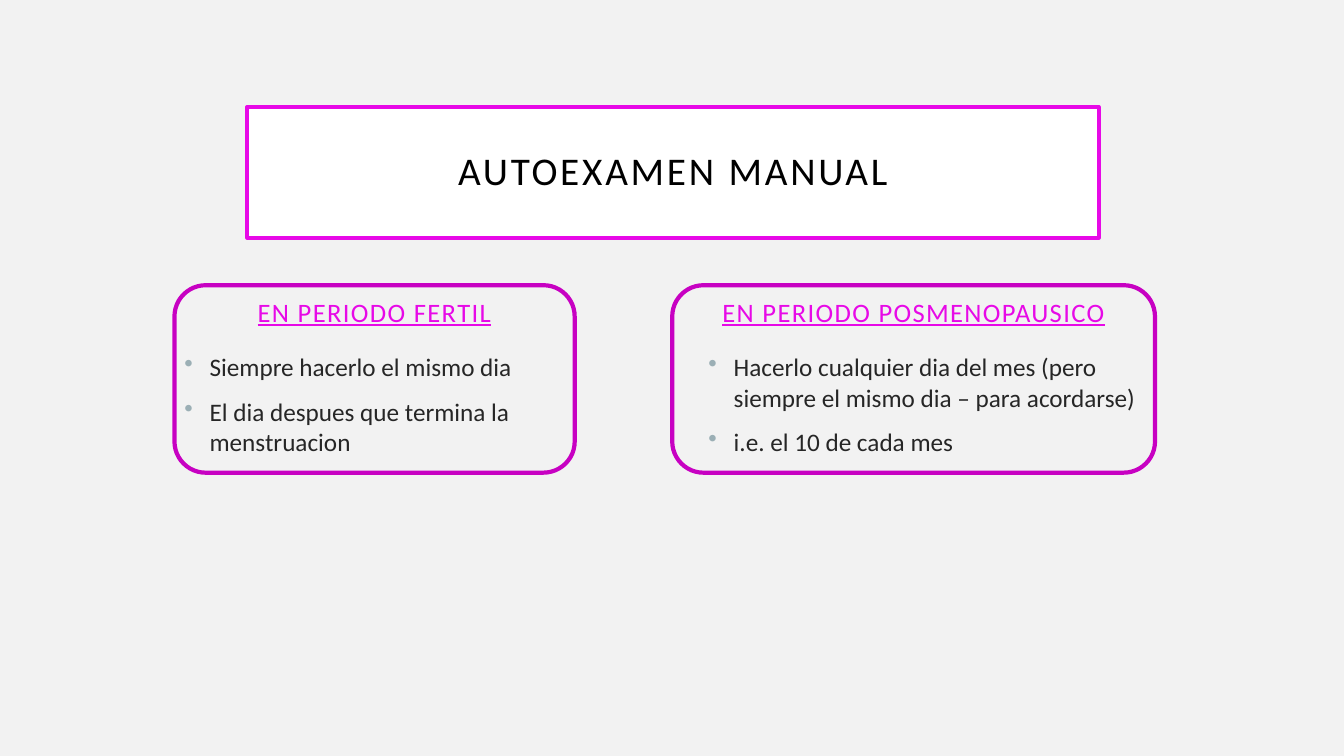
from dataclasses import dataclass

from lxml import etree
from pptx import Presentation
from pptx.dml.color import RGBColor
from pptx.enum.shapes import MSO_SHAPE
from pptx.enum.text import MSO_ANCHOR, PP_ALIGN
from pptx.oxml.ns import qn
from pptx.util import Inches, Pt

RECT, ROUND = MSO_SHAPE.RECTANGLE, MSO_SHAPE.ROUNDED_RECTANGLE
TOP, MIDDLE, BOTTOM = MSO_ANCHOR.TOP, MSO_ANCHOR.MIDDLE, MSO_ANCHOR.BOTTOM
LEFT, CENTER = PP_ALIGN.LEFT, PP_ALIGN.CENTER


@dataclass(frozen=True)
class Theme:
    font: str = "Calibri"
    back: str = "F2F2F2"
    panel: str = "FFFFFF"
    pink: str = "E709E7"
    frame: str = "C701C2"
    ink: str = "000000"
    body: str = "262626"
    dot: str = "9BAFB5"
    title_size: float = 28
    head_size: float = 19
    body_size: float = 18


def add_bullet(para, color):
    """Hang a round bullet a quarter inch before the text."""
    props = para._p.get_or_add_pPr()
    props.set("marL", str(Inches(0.25)))
    props.set("indent", str(-Inches(0.25)))
    tint = etree.SubElement(props, qn("a:buClr"))
    etree.SubElement(tint, qn("a:srgbClr"), val=color)
    etree.SubElement(props, qn("a:buChar"), char="•")


def write(frame, lines, *, font, size, color, align=LEFT, anchor=TOP,
          under=False, track=0, before=0, lead=None, dot=None):
    """Fill a text frame with one paragraph per line."""
    frame.word_wrap = True
    frame.vertical_anchor = anchor
    for i, line in enumerate(lines):
        para = frame.add_paragraph() if i else frame.paragraphs[0]
        para.alignment = align
        para.space_before = Pt(before)
        if lead:
            para.line_spacing = lead
        if dot:
            add_bullet(para, dot)
        run = para.add_run()
        run.text = line
        run.font.name = font
        run.font.size = Pt(size)
        run.font.color.rgb = RGBColor.from_string(color)
        run.font.underline = under
        if track:
            run._r.get_or_add_rPr().set("spc", str(track * 100))


class Page:
    """Holds the theme and slide; places are percent of the slide's size."""

    def __init__(self, deck, theme):
        self.deck, self.theme = deck, theme
        self.slide = deck.slides.add_slide(deck.slide_layouts[6])
        fill = self.slide.background.fill
        fill.solid()
        fill.fore_color.rgb = RGBColor.from_string(theme.back)

    def place(self, left, top, width, height):
        wide, high = self.deck.slide_width, self.deck.slide_height
        return [round(share * size / 100) for share, size in
                zip((left, top, width, height), (wide, high, wide, high))]

    def shape(self, kind, box, line, weight, fill=None):
        item = self.slide.shapes.add_shape(kind, *self.place(*box))
        item.shadow.inherit = False
        item.line.color.rgb = RGBColor.from_string(line)
        item.line.width = Pt(weight)
        if fill:
            item.fill.solid()
            item.fill.fore_color.rgb = RGBColor.from_string(fill)
        else:
            item.fill.background()
        return item

    def text(self, box, lines, **style):
        item = self.slide.shapes.add_textbox(*self.place(*box))
        write(item.text_frame, lines, font=self.theme.font, **style)

    def title(self, box, words):
        look = self.theme
        item = self.shape(RECT, box, look.pink, 2.5, look.panel)
        frame = item.text_frame
        frame.margin_left = frame.margin_right = Inches(0.2)
        frame.margin_top = frame.margin_bottom = Inches(0.2)
        write(frame, [words], font=look.font, size=look.title_size,
              color=look.ink, align=CENTER, anchor=MIDDLE, track=2, lead=0.9)

    def card(self, edge, width, head, start, span, name, points):
        """Draw a rounded frame with its heading and bullet list."""
        look = self.theme
        self.text((head, 33.73, 35.02, 10.27), [name], size=look.head_size,
                  color=look.pink, align=CENTER, anchor=BOTTOM, under=True,
                  track=1, before=10)
        self.text((start, 45.87, span, 37.87), points, size=look.body_size,
                  color=look.body, before=10, dot=look.dot)
        self.shape(ROUND, (edge, 37.73, width, 24.8), look.frame, 3)


deck = Presentation()
deck.slide_width, deck.slide_height = Inches(13.33), Inches(7.5)
page = Page(deck, Theme())

# Title panel
page.title((18.38, 14.13, 63.38, 17.33), "AUTOEXAMEN MANUAL")

# One card per stage of life: frame, heading and list places, then wording
CARDS = [
    (12.98, 29.78, 10.35, 12.98, 35.02, "EN PERIODO FERTIL",
     ["Siempre hacerlo el mismo dia",
      "El dia despues que termina la menstruacion"]),
    (50.02, 35.92, 50.47, 51.98, 34.88, "EN PERIODO POSMENOPAUSICO",
     ["Hacerlo cualquier dia del mes (pero siempre el mismo dia – para "
      "acordarse)",
      "i.e. el 10 de cada mes"]),
]
for card in CARDS:
    page.card(*card)

deck.save("out.pptx")
